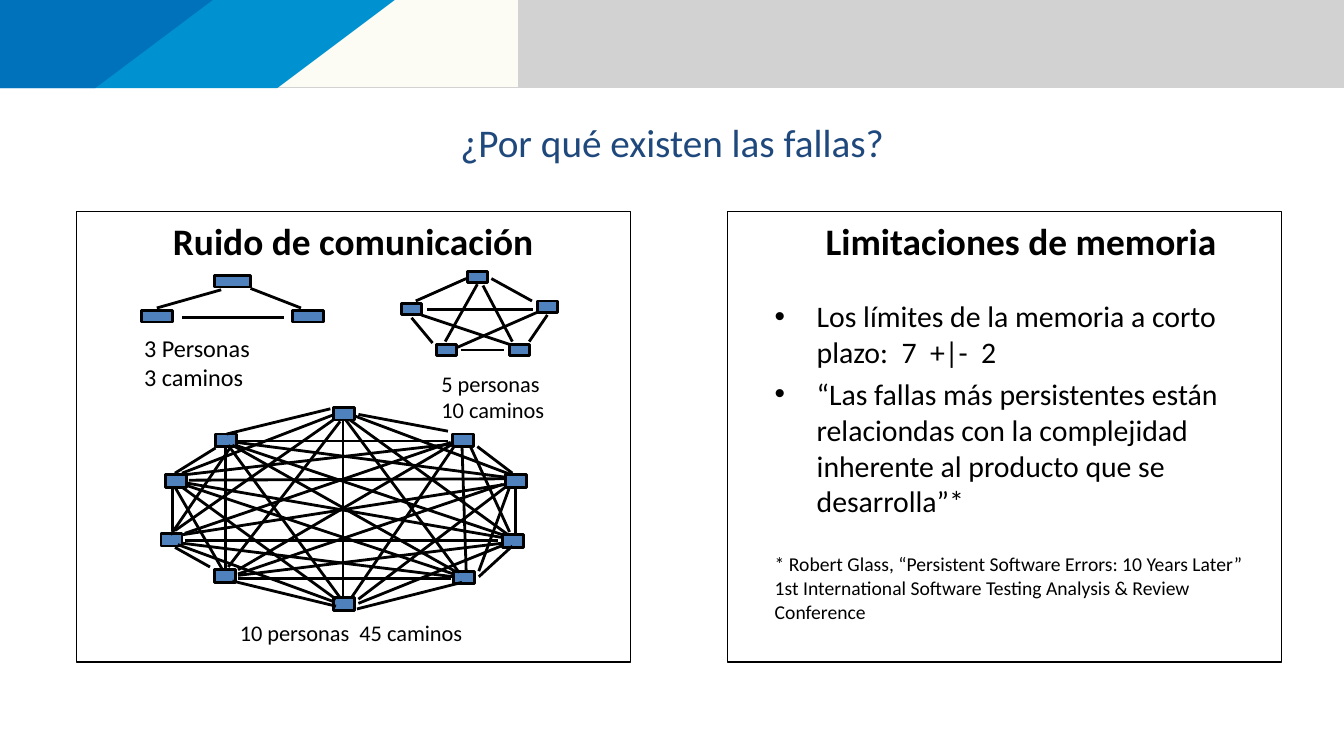
from lxml.etree import SubElement
from pptx import Presentation
from pptx.dml.color import RGBColor
from pptx.enum.shapes import MSO_CONNECTOR, MSO_SHAPE
from pptx.enum.text import MSO_ANCHOR, PP_ALIGN
from pptx.oxml.ns import qn
from pptx.util import Pt

BLACK = RGBColor(0x00, 0x00, 0x00)
WHITE = RGBColor(0xFF, 0xFF, 0xFF)
GRAY = RGBColor(0xD2, 0xD2, 0xD3)
CREAM = RGBColor(0xFC, 0xFB, 0xF4)
LIGHT_BLUE = RGBColor(0x00, 0x91, 0xD1)
DARK_BLUE = RGBColor(0x00, 0x71, 0xBB)
NODE_BLUE = RGBColor(0x4F, 0x81, 0xBD)
TITLE_BLUE = RGBColor(0x1F, 0x49, 0x7D)


def add_box(left, top, width, height, fill, line_width):
    box = slide.shapes.add_shape(
        MSO_SHAPE.RECTANGLE, Pt(left), Pt(top), Pt(width), Pt(height))
    box.shadow.inherit = False
    box.fill.solid()
    box.fill.fore_color.rgb = fill
    box.line.color.rgb = BLACK
    box.line.width = Pt(line_width)
    return box


def write_paragraphs(frame, texts, size, color=BLACK, **formats):
    """Append texts to a frame, filling its first paragraph if that is empty."""
    for text in texts:
        paragraph = frame.paragraphs[0] if not frame.text else frame.add_paragraph()
        paragraph.text = text
        paragraph.alignment = formats.get("alignment", PP_ALIGN.LEFT)
        properties = paragraph._p.get_or_add_pPr()
        properties.set("marL", str(Pt(formats.get("margin", 0))))
        properties.set("indent", str(Pt(formats.get("indent", 0))))
        if "bullet" in formats:
            SubElement(properties, qn("a:buFont"), typeface="Arial")
            SubElement(properties, qn("a:buChar"), char=formats["bullet"])
        for name, value in {"name": "Calibri", "size": Pt(size),
                            "bold": formats.get("bold", False)}.items():
            setattr(paragraph.font, name, value)
        paragraph.font.color.rgb = color


presentation = Presentation()
presentation.slide_width = Pt(960)
presentation.slide_height = Pt(540)
slide = presentation.slides.add_slide(presentation.slide_layouts[5])

# Banner
for color, points in [
    (GRAY, [(0, 0), (960, 0), (960, 62.6), (0, 62.6)]),
    (CREAM, [(0, 0), (370, 0), (370, 61.5), (0, 61.5)]),
    (LIGHT_BLUE, [(0, 0), (282.5, 0), (198, 62.6), (0, 62.6)]),
    (DARK_BLUE, [(0, 0), (152.5, 0), (68, 62.6), (0, 62.6)]),
]:
    builder = slide.shapes.build_freeform(*points[0], scale=Pt(1))
    builder.add_line_segments(points[1:], close=True)
    band = builder.convert_to_shape()
    band.shadow.inherit = False
    band.fill.solid()
    band.fill.fore_color.rgb = color
    band.line.fill.background()

# Title
title = slide.shapes.title
for name, value in {"left": 72, "top": 82.8, "width": 816, "height": 37.4}.items():
    setattr(title, name, Pt(value))
title_frame = title.text_frame
for side in ("left", "top", "right", "bottom"):
    setattr(title_frame, f"margin_{side}", 0)
title_frame.vertical_anchor = MSO_ANCHOR.MIDDLE
write_paragraphs(title_frame, ["¿Por qué existen las fallas?"], 28, TITLE_BLUE,
                 alignment=PP_ALIGN.CENTER)

# Panels
panel_frames = []
for left, heading, margin in [(54.7, "Ruido de comunicación", 0),
                              (519.8, "Limitaciones de memoria", 24)]:
    frame = add_box(left, 151.2, 395.6, 321.8, WHITE, 1).text_frame
    for name, value in {"margin_left": Pt(9.6), "margin_right": Pt(9.6),
                        "margin_top": Pt(4.8), "margin_bottom": Pt(4.8),
                        "word_wrap": True, "vertical_anchor": MSO_ANCHOR.TOP}.items():
        setattr(frame, name, value)
    write_paragraphs(frame, [heading], 26.7, bold=True, margin=margin,
                     alignment=PP_ALIGN.CENTER)
    panel_frames.append(frame)

memory_frame = panel_frames[1]
write_paragraphs(memory_frame, [
    "Los límites de la memoria a corto plazo:  7  +|-  2",
    "“Las fallas más persistentes están relaciondas con la complejidad "
    "inherente al producto que se desarrolla”*",
], 21.3, margin=54, indent=-30, bullet="•")
write_paragraphs(memory_frame, [
    "* Robert Glass, “Persistent Software Errors: 10 Years Later” "
    "1st International Software Testing Analysis & Review Conference",
], 14, margin=24)
memory_frame.paragraphs[-1].runs[0].font.size = Pt(14)
for paragraph, space in zip(memory_frame.paragraphs[1:], (25, 4.3, 24)):
    paragraph.space_before = Pt(space)

# Networks: nodes are (left, top, width, height), paths are (x1, y1, x2, y2)
ten_people = [(left, top, 15, 9) for left, top in [
    (238, 291), (323, 310), (361, 339), (359, 382), (324, 408),
    (238, 427), (153, 407), (115, 381), (118, 339), (154, 310)]]
ten_paths = [
    (170, 315, 320, 315), (170, 413, 322, 413), (245, 301, 245, 427),
    (135, 343, 360, 342), (132, 386, 356, 386), (123, 349, 123, 379),
    (368, 349, 368, 381), (154, 320, 125, 338), (125, 391, 150, 405),
    (162, 310, 236, 292), (256, 296, 320, 308), (341, 319, 366, 338),
    (365, 339, 253, 297), (362, 341, 169, 316), (161, 408, 161, 319),
    (333, 408, 330, 318), (363, 382, 250, 300), (328, 409, 247, 300),
    (255, 435, 330, 416), (342, 412, 366, 390), (240, 433, 166, 415),
    (239, 430, 127, 389), (324, 410, 134, 347), (324, 412, 130, 388),
    (342, 408, 364, 348), (325, 408, 166, 318), (243, 427, 163, 318),
    (251, 427, 325, 318), (256, 428, 361, 348), (256, 431, 358, 390),
    (240, 428, 130, 348), (159, 407, 125, 348), (170, 407, 322, 318),
    (170, 410, 359, 346), (170, 411, 359, 388), (359, 384, 133, 345),
    (359, 382, 168, 318), (239, 296, 130, 338), (238, 300, 125, 379),
    (132, 381, 322, 316), (336, 319, 364, 380), (324, 317, 133, 339),
    (361, 346, 130, 382), (243, 301, 163, 405), (165, 319, 122, 382),
]
five_people = [(left, top, 14, 8) for left, top in [
    (334, 194), (384, 215), (364, 246), (312, 246), (287, 217)]]
five_paths = [
    (329, 250, 360, 250), (351, 199, 380, 215), (333, 199, 297, 215),
    (294, 227, 309, 245), (391, 225, 378, 244), (341, 203, 318, 244),
    (345, 204, 366, 244), (305, 221, 381, 221), (327, 248, 384, 223),
    (364, 246, 301, 225),
]
three_people = [(153, 197, 26, 8), (209, 222, 22, 8), (101, 222, 22, 8)]
three_paths = [(158, 207, 112, 220), (179, 206, 215, 220), (130, 227, 203, 227)]

for people, paths in [(ten_people, ten_paths), (five_people, five_paths),
                      (three_people, three_paths)]:
    for person in people:
        add_box(*person, NODE_BLUE, 2)
    for ends in paths:
        connector = slide.shapes.add_connector(
            MSO_CONNECTOR.STRAIGHT, *[Pt(value) for value in ends])
        connector.line.color.rgb = BLACK
        connector.line.width = Pt(2)
        SubElement(connector._element.spPr, qn("a:effectLst"))

# Network captions
for left, top, width, height, size, lines in [
    (164.2, 438.5, 175, 26, 16, ["10 personas  45 caminos"]),
    (308.2, 260.6, 88, 45.4, 16, ["5 personas", "10 caminos"]),
    (95.8, 234.7, 140.4, 49, 17.3, ["3 Personas", "3 caminos"]),
]:
    caption = slide.shapes.add_textbox(Pt(left), Pt(top), Pt(width), Pt(height))
    caption.text_frame.word_wrap = len(lines) > 1
    write_paragraphs(caption.text_frame, lines, size)

presentation.save("out.pptx")
